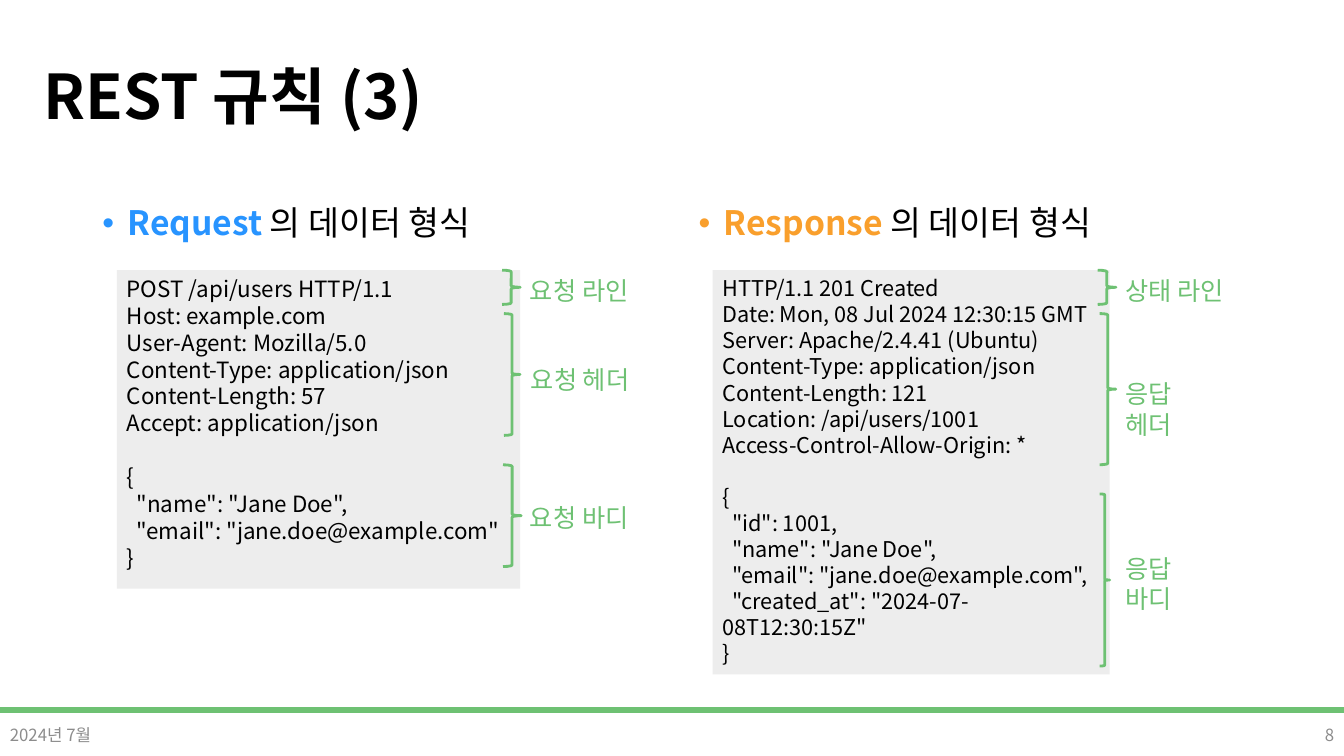
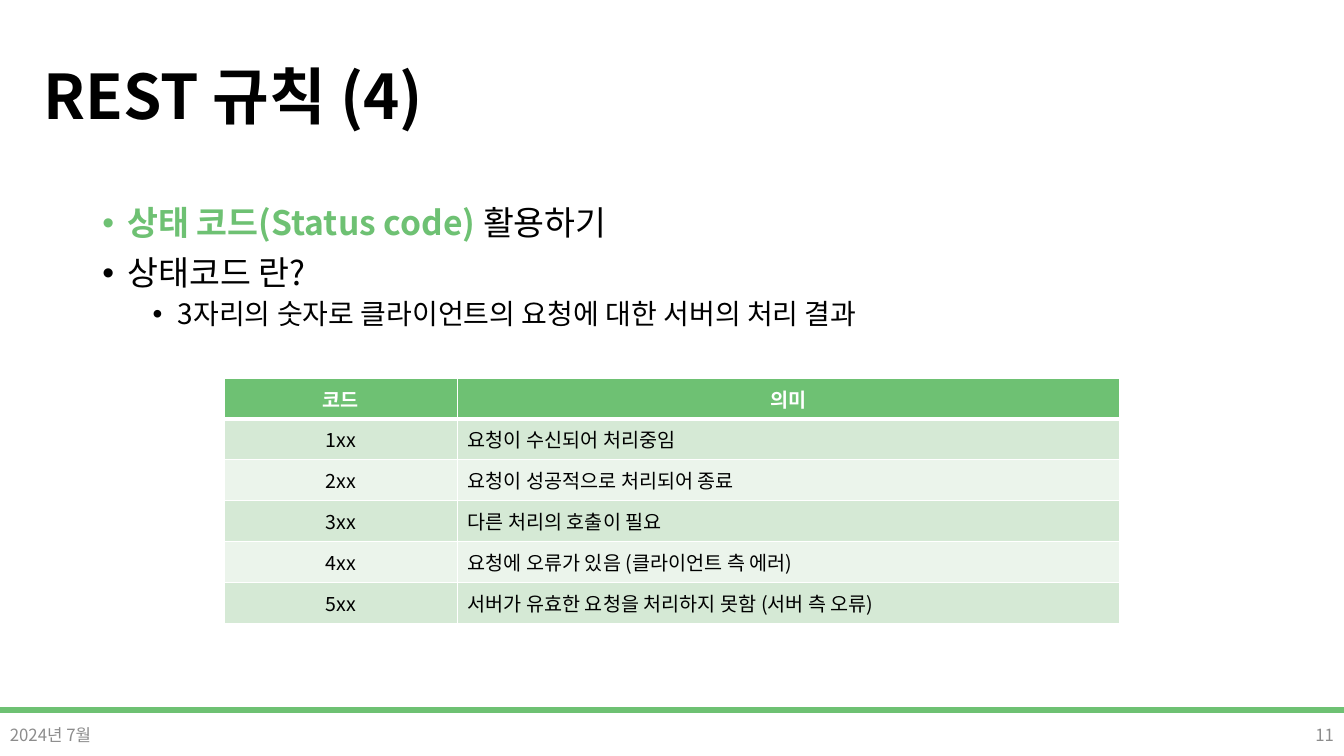
from lxml import etree
from pptx import Presentation
from pptx.dml.color import RGBColor
from pptx.enum.shapes import MSO_SHAPE
from pptx.enum.text import MSO_ANCHOR, PP_ALIGN
from pptx.oxml.ns import qn
from pptx.util import Pt

RECT, BRACE = MSO_SHAPE.RECTANGLE, MSO_SHAPE.RIGHT_BRACE
TOP, MIDDLE = MSO_ANCHOR.TOP, MSO_ANCHOR.MIDDLE
LEFT, CENTER, RIGHT = PP_ALIGN.LEFT, PP_ALIGN.CENTER, PP_ALIGN.RIGHT

FONT = "Noto Sans CJK KR"
GREEN, BLUE, ORANGE = "6EC173", "2894FF", "F99F2C"
BLACK, WHITE, GRAY, PANEL = "000000", "FFFFFF", "8C8C8C", "EDEDED"
BANDS = ["EBF4EB", "D5E9D5"]

TITLE = {"size": Pt(44), "bold": True}
FOOTER = {"size": Pt(12)}
LABEL = {"size": Pt(18)}
LEVELS = [  # left indent, space before, text size
    (18, 10, 24),
    (54, 5, 20),
]


def add_run(p, text, color, fmt):
    r = p.add_run()
    r.text = text
    r.font.name = FONT
    r.font.color.rgb = RGBColor.from_string(color)
    for name, value in fmt.items():
        setattr(r.font, name, value)
    etree.SubElement(r.font._element, qn("a:ea")).set("typeface", FONT)


def fill_text(sp, lines, color, fmt, anchor=TOP, align=LEFT):
    tf = sp.text_frame
    tf.word_wrap = True
    tf.vertical_anchor = anchor
    for i, line in enumerate(lines):
        p = tf.paragraphs[0] if i == 0 else tf.add_paragraph()
        p.alignment = align
        add_run(p, line, color, fmt)
    return tf


# Slide content: title, page number, bullet boxes
slides = [
    ("REST 규칙 (3)", "8", [
        (66, 414, [(0, [("Request ", BLUE, True), ("의 데이터 형식", BLACK, False)])]),
        (492, 414, [(0, [("Response ", ORANGE, True), ("의 데이터 형식", BLACK, False)])]),
    ]),
    ("REST 규칙 (4)", "11", [
        (66, 828, [
            (0, [("상태 코드(Status code) ", GREEN, True), ("활용하기", BLACK, False)]),
            (0, [("상태코드 란?", BLACK, False)]),
            (1, [("3자리의 숫자로 클라이언트의 요청에 대한 서버의 처리 결과", BLACK, False)]),
        ]),
    ]),
]

request = """POST /api/users HTTP/1.1
Host: example.com
User-Agent: Mozilla/5.0
Content-Type: application/json
Content-Length: 57
Accept: application/json

{
  "name": "Jane Doe",
  "email": "jane.doe@example.com"
}"""

response = """HTTP/1.1 201 Created
Date: Mon, 08 Jul 2024 12:30:15 GMT
Server: Apache/2.4.41 (Ubuntu)
Content-Type: application/json
Content-Length: 121
Location: /api/users/1001
Access-Control-Allow-Origin: *

{
  "id": 1001,
  "name": "Jane Doe",
  "email": "jane.doe@example.com",
  "created_at": "2024-07-08T12:30:15Z"
}"""

# Code panels: text, size, left, width, height,
# then braces (left, top, width, height) with label (text, left, top, width)
panels = [
    (request, 16, 83.5, 288, 227.5, [
        ((358.6, 193, 13, 24.5), ("요청 라인", 371.5, 193, 91.4)),
        ((360, 224, 11.5, 87), ("요청 헤더", 372.2, 257, 91.4)),
        ((359.3, 332, 13, 72.7), ("요청 바디", 371.5, 355, 91.4)),
    ]),
    (response, 15.5, 509, 283.7, 288.7, [
        ((784.1, 193, 13, 24.5), ("상태 라인", 797, 193, 91.4)),
        ((785.5, 224, 11.5, 108), ("응답 헤더", 797, 267, 82)),
        ((785.5, 352.8, 7.2, 123), ("응답 바디", 797, 391.7, 82)),
    ]),
]

status_rows = [
    ("코드", "의미"),
    ("1xx", "요청이 수신되어 처리중임"),
    ("2xx", "요청이 성공적으로 처리되어 종료"),
    ("3xx", "다른 처리의 호출이 필요"),
    ("4xx", "요청에 오류가 있음 (클라이언트 측 에러)"),
    ("5xx", "서버가 유효한 요청을 처리하지 못함 (서버 측 오류)"),
]

prs = Presentation()
prs.slide_width, prs.slide_height = Pt(960), Pt(540)

# Shared frame and bullets
for title, number, bullet_boxes in slides:
    s = prs.slides.add_slide(prs.slide_layouts[6])
    band = s.shapes.add_shape(RECT, 0, Pt(505.4), Pt(960), Pt(3.6))
    band.shadow.inherit = False
    band.fill.solid()
    band.fill.fore_color.rgb = RGBColor.from_string(GREEN)
    band.line.color.rgb = RGBColor.from_string(GREEN)
    band.line.width = Pt(1)

    sp = s.shapes.add_textbox(Pt(23.8), Pt(18.7), Pt(828), Pt(104.4))
    tf = fill_text(sp, [title], BLACK, TITLE, MIDDLE)
    tf.paragraphs[0].line_spacing = 0.9

    for text, left, align in [("2024년 7월", 0, LEFT), (number, 744, RIGHT)]:
        sp = s.shapes.add_textbox(Pt(left), Pt(510.5), Pt(216), Pt(28.8))
        fill_text(sp, [text], GRAY, FOOTER, MIDDLE, align)

    for left, width, bullets in bullet_boxes:
        sp = s.shapes.add_textbox(Pt(left), Pt(144), Pt(width), Pt(342.7))
        tf = sp.text_frame
        tf.word_wrap = True
        for i, (level, runs) in enumerate(bullets):
            indent, before, size = LEVELS[level]
            p = tf.paragraphs[0] if i == 0 else tf.add_paragraph()
            p.level = level
            pPr = p._p.get_or_add_pPr()
            pPr.set("marL", str(Pt(indent)))
            pPr.set("indent", str(Pt(-18)))
            etree.SubElement(pPr, qn("a:buFont")).set("typeface", "Arial")
            etree.SubElement(pPr, qn("a:buChar")).set("char", "•")
            p.line_spacing = 0.9
            p.space_before = Pt(before if i else 0)
            for text, color, bold in runs:
                add_run(p, text, color, {"size": Pt(size), "bold": bold})

# Request and response panels
s = prs.slides[0]
for code, size, left, width, height, parts in panels:
    sp = s.shapes.add_shape(RECT, Pt(left), Pt(193), Pt(width), Pt(height))
    sp.shadow.inherit = False
    sp.fill.solid()
    sp.fill.fore_color.rgb = RGBColor.from_string(PANEL)
    sp.line.fill.background()
    fill_text(sp, code.split("\n"), BLACK, {"size": Pt(size)})

    for brace, (text, x, y, w) in parts:
        sp = s.shapes.add_shape(BRACE, *map(Pt, brace))
        sp.shadow.inherit = False
        sp.fill.background()
        sp.line.color.rgb = RGBColor.from_string(GREEN)
        sp.line.width = Pt(2)
        sp = s.shapes.add_textbox(Pt(x), Pt(y), Pt(w), Pt(29))
        fill_text(sp, [text], GREEN, LABEL)

# Status code table
s = prs.slides[1]
table = s.shapes.add_table(len(status_rows), 2, Pt(160), Pt(270), Pt(640), Pt(175.2)).table
for col, width in zip(table.columns, (167, 473)):
    col.width = Pt(width)
for i, row in enumerate(status_rows):
    table.rows[i].height = Pt(29.2)
    header = i == 0
    for j, text in enumerate(row):
        cell = table.cell(i, j)
        tcPr = cell._tc.get_or_add_tcPr()
        for side in "LRTB":
            thick = (i, side) in [(0, "B"), (1, "T")]
            ln = etree.SubElement(tcPr, qn(f"a:ln{side}"), w=str(Pt(3 if thick else 1)))
            fill = etree.SubElement(ln, qn("a:solidFill"))
            etree.SubElement(fill, qn("a:srgbClr"), val=WHITE)
        cell.fill.solid()
        cell.fill.fore_color.rgb = RGBColor.from_string(GREEN if header else BANDS[i % 2])
        cell.vertical_anchor = MIDDLE
        p = cell.text_frame.paragraphs[0]
        p.alignment = CENTER if header or j == 0 else LEFT
        add_run(p, text, WHITE if header else BLACK, {"size": Pt(14), "bold": header})

prs.save("out.pptx")
